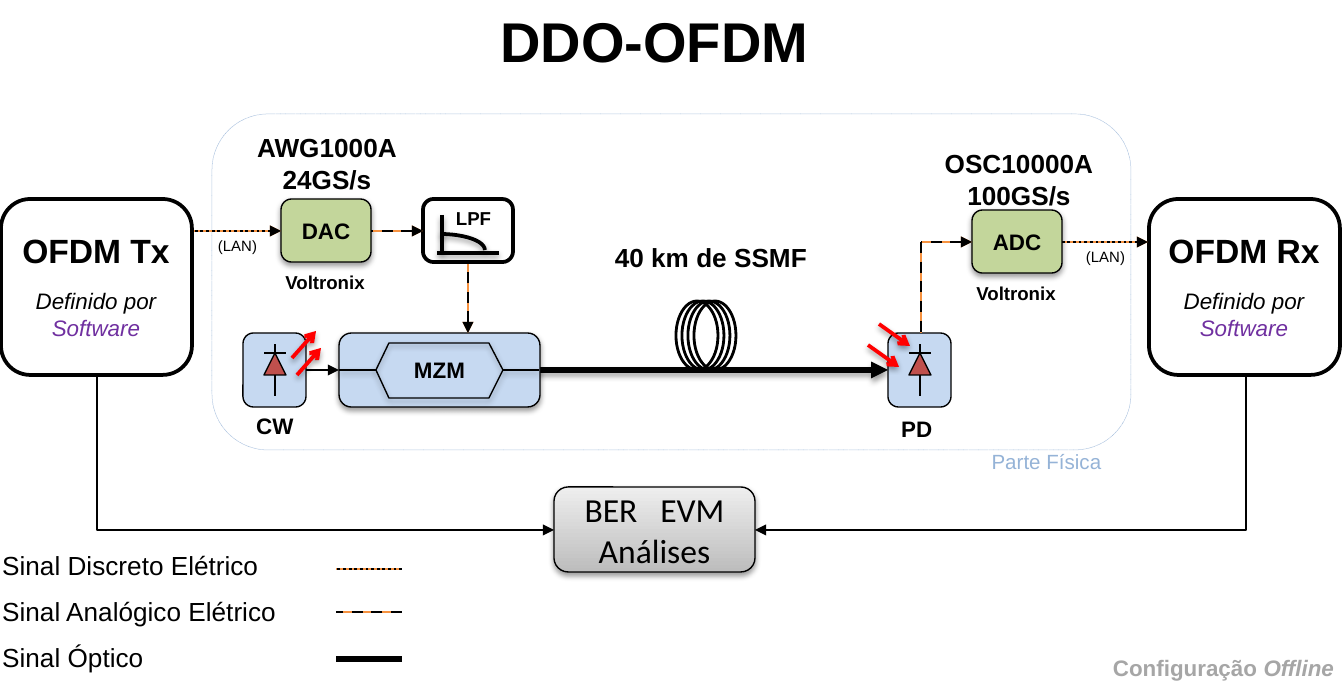
from lxml import etree
from pptx import Presentation
from pptx.dml.color import RGBColor
from pptx.enum.dml import MSO_LINE
from pptx.enum.shapes import MSO_CONNECTOR, MSO_SHAPE
from pptx.enum.text import MSO_ANCHOR, MSO_AUTO_SIZE, PP_ALIGN
from pptx.oxml.ns import qn
from pptx.util import Emu, Pt

BLACK = RGBColor(0x00, 0x00, 0x00)
WHITE = RGBColor(0xFF, 0xFF, 0xFF)
ORANGE = RGBColor(0xF6, 0x92, 0x40)
RED = RGBColor(0xFF, 0x00, 0x00)
BRICK = RGBColor(0xC0, 0x50, 0x4D)
GREEN = RGBColor(0xC3, 0xD6, 0x9B)
PALE_BLUE = RGBColor(0xC6, 0xD9, 0xF1)
BLUE = RGBColor(0x95, 0xB3, 0xD7)
PURPLE = RGBColor(0x70, 0x30, 0xA0)
GRAY = RGBColor(0xA6, 0xA6, 0xA6)
DARK_SILVER = RGBColor(0xBD, 0xBD, 0xBD)
LIGHT_SILVER = RGBColor(0xEE, 0xEE, 0xEE)

ROUND_RECT, ELLIPSE = MSO_SHAPE.ROUNDED_RECTANGLE, MSO_SHAPE.OVAL
TRIANGLE, ARC = MSO_SHAPE.ISOSCELES_TRIANGLE, MSO_SHAPE.ARC
STRAIGHT, ELBOW = MSO_CONNECTOR.STRAIGHT, MSO_CONNECTOR.ELBOW
DOT, DASH = MSO_LINE.ROUND_DOT, MSO_LINE.DASH
LEFT, CENTER = PP_ALIGN.LEFT, PP_ALIGN.CENTER
TOP, MIDDLE = MSO_ANCHOR.TOP, MSO_ANCHOR.MIDDLE
NO_FIT = MSO_AUTO_SIZE.NONE
SCALE = 914400 / 134.4


def px(n):
    """Turn pixels into EMU."""
    return Emu(round(n * SCALE))


def set_effects(sp, shadow):
    """Give a soft shadow below, or no effect at all."""
    effects = etree.SubElement(sp._element.spPr, qn("a:effectLst"))
    if shadow:
        outer = etree.SubElement(effects, qn("a:outerShdw"), blurRad="40000", dist="20000",
                                 dir="5400000", rotWithShape="0")
        color = etree.SubElement(outer, qn("a:srgbClr"), val="000000")
        etree.SubElement(color, qn("a:alpha"), val="38000")


def set_outline(sp, color, width, dash=None):
    """Format the line of a shape or connector."""
    sp.line.color.rgb = color
    sp.line.width = Pt(width)
    if dash:
        sp.line.dash_style = dash


def add_run(p, text, size, bold=False, italic=False, color=BLACK, font="Arial", spacing=0):
    """Add one formatted run."""
    r = p.add_run()
    r.text = text
    r.font.name, r.font.size = font, Pt(size)
    r.font.bold, r.font.italic = bold, italic
    r.font.color.rgb = color
    if spacing:
        r._r.get_or_add_rPr().set("spc", str(spacing))


def write(sp, lines, size, align=CENTER, anchor=TOP, wrap=False, **style):
    """Write plain lines in one style."""
    tf = sp.text_frame
    tf.word_wrap, tf.vertical_anchor, tf.auto_size = wrap, anchor, NO_FIT
    for i, text in enumerate(lines):
        p = tf.add_paragraph() if i else tf.paragraphs[0]
        p.alignment = align
        if text:
            add_run(p, text, size, **style)
    return tf


def add_text(s, box, lines, size, **style):
    """Add a text box."""
    return write(s.shapes.add_textbox(*map(px, box)), lines, size, **style)


def add_shape(s, kind, box, fill=None, color=BLACK, width=0.75, dash=None, shadow=False):
    """Add a preset shape with a flat fill or none."""
    sp = s.shapes.add_shape(kind, *map(px, box))
    if fill is None:
        sp.fill.background()
    else:
        sp.fill.solid()
        sp.fill.fore_color.rgb = fill
    set_outline(sp, color, width, dash)
    set_effects(sp, shadow)
    return sp


def add_line(s, x1, y1, x2, y2, width=0.75, color=BLACK, dash=None, head=None, tail=None,
             shadow=False, kind=STRAIGHT):
    """Add a connector with optional arrowheads."""
    line = s.shapes.add_connector(kind, px(x1), px(y1), px(x2), px(y2))
    set_outline(line, color, width, dash)
    ln = line._element.spPr.find(qn("a:ln"))
    for tag, arrow in (("a:headEnd", head), ("a:tailEnd", tail)):
        if arrow:
            etree.SubElement(ln, qn(tag), type=arrow)
    set_effects(line, shadow)
    return line


def add_signal(s, points, dash, head="triangle"):
    """Add an electrical signal: black dashes over an orange line."""
    add_line(s, *points, width=1.5, color=ORANGE, head=head)
    add_line(s, *points, width=1.5, dash=dash, head=head)


def add_result_path(s, *points):
    """Add a right-angled arrow into the analysis block."""
    line = add_line(s, *points, head="triangle", kind=ELBOW)
    line._element.spPr.find(qn("a:prstGeom")).set("prst", "bentConnector2")


def add_diode(s, x, label, label_box):
    """Add a diode block with its label."""
    add_shape(s, ROUND_RECT, (x, 333, 63, 74), PALE_BLUE)
    add_line(s, x + 32, 344, x + 32, 396, 1)
    add_shape(s, TRIANGLE, (x + 21, 353, 22, 22), BRICK)
    add_line(s, x + 43, 353, x + 21, 353, 1)
    add_text(s, label_box, [label], 12, align=LEFT, bold=True)


def add_light(s, x, y, dx, dy, step_x, step_y):
    """Add two parallel red arrows."""
    for i in range(2):
        x1, y1 = x + i * step_x, y + i * step_y
        add_line(s, x1, y1, x1 + dx, y1 + dy, 2, RED, tail="arrow", shadow=True)


def add_modulator(s):
    """Add the modulator block with its two-arm outline."""
    block = add_shape(s, ROUND_RECT, (339, 333, 201, 74), PALE_BLUE, shadow=True)
    write(block, ["MZM"], 12, anchor=MIDDLE, bold=True)
    builder = s.shapes.build_freeform(376, 370, scale=SCALE)
    builder.add_line_segments([(389, 343), (489, 343), (503, 370), (489, 398), (389, 398)])
    arms = builder.convert_to_shape()
    arms.fill.background()
    set_outline(arms, BLACK, 0.75)
    set_effects(arms, True)
    for x1, x2 in ((339, 376), (503, 539)):
        add_line(s, x1, 370, x2, 370, shadow=True)


def add_converter(s, x, y, name, model_box, model):
    """Add a converter block, its model above and its maker below."""
    block = add_shape(s, ROUND_RECT, (x, y, 90, 63), GREEN, shadow=True)
    write(block, [name], 12, anchor=MIDDLE, bold=True)
    add_text(s, model_box, model, 14, bold=True)
    add_text(s, (x - 12, y + 65, 112, 36), ["Voltronix"], 10, bold=True)


def add_terminal(s, x, name):
    """Add a software-defined terminal."""
    add_shape(s, ROUND_RECT, (x, 199, 191, 176), WHITE, width=2)
    tf = add_text(s, (x - 1, 223, 192, 126), [name], 18, wrap=True, bold=True)
    p = tf.add_paragraph()
    p.alignment, p.space_before = CENTER, Pt(9)
    add_run(p, "Definido por ", 12, italic=True)
    add_run(p, "Software", 12, italic=True, color=PURPLE)


def add_filter(s):
    """Add the low-pass filter block."""
    add_shape(s, ROUND_RECT, (423, 199, 90, 63), WHITE, width=2)
    add_line(s, 442, 215, 442, 253, 2, shadow=True)
    add_line(s, 437, 253, 499, 253, 2, shadow=True)
    add_shape(s, ARC, (396, 234, 89, 32), width=2, shadow=True)
    add_text(s, (442, 200, 63, 36), ["LPF"], 10, bold=True)


def add_analysis(s):
    """Add the gradient analysis block."""
    sp = add_shape(s, ROUND_RECT, (554, 487, 201, 85), WHITE, shadow=True)
    sp.fill.gradient()
    sp.fill.gradient_angle = 90
    for stop, color in zip(sp.fill.gradient_stops, (DARK_SILVER, LIGHT_SILVER)):
        stop.color.rgb = color
    tf = write(sp, ["", "Análises"], 18, anchor=MIDDLE, font="Calibri")
    for text, spacing in (("BER", 0), (" ", 810), ("EVM", 0)):
        add_run(tf.paragraphs[0], text, 18, font="Calibri", spacing=spacing)


def main():
    """Build the slide."""
    prs = Presentation()
    prs.slide_width, prs.slide_height = px(1344), px(688)
    s = prs.slides.add_slide(prs.slide_layouts[5])
    title = s.shapes.title
    title.left, title.top, title.width, title.height = map(px, (485, 0, 339, 82))
    write(title, ["DDO-OFDM"], 30, bold=True)

    add_shape(s, ROUND_RECT, (212, 114, 919, 336), color=BLUE, width=0.25, dash=DOT)
    add_line(s, 339, 370, 888, 370, 3, tail="triangle", shadow=True)
    add_modulator(s)
    add_diode(s, 243, "CW", (243, 406, 65, 40))
    add_diode(s, 888, "PD", (888, 409, 59, 40))
    add_light(s, 868, 345, 31, 22, 11, -21)
    add_light(s, 292, 358, 24, -27, 5, 17)
    add_line(s, 306, 370, 339, 370, 1.5, tail="triangle")
    for i in range(4):
        add_shape(s, ELLIPSE, (676 + 6 * i, 301, 42, 69), width=1.5)
    add_text(s, (601, 235, 220, 46), ["40 km de SSMF"], 14, bold=True)

    add_converter(s, 281, 199, "DAC", (243, 125, 168, 77), ["AWG1000A", "24GS/s"])
    add_converter(s, 972, 210, "ADC", (931, 141, 176, 77), ["OSC10000A", "100GS/s"])
    add_terminal(s, 1, "OFDM Tx")
    add_terminal(s, 1149, "OFDM Rx")
    add_filter(s)
    add_analysis(s)

    for points in ((281, 231, 194, 231), (1148, 242, 1062, 242)):
        add_signal(s, points, DOT)
    for points in ((423, 231, 371, 231), (468, 333, 468, 263), (972, 242, 921, 242)):
        add_signal(s, points, DASH)
    add_signal(s, (921, 242, 921, 333), DASH, head=None)
    for x, y in ((202, 230), (1070, 241)):
        add_text(s, (x, y, 71, 32), ["(LAN)"], 8, wrap=True)
    add_result_path(s, 554, 530, 97, 375)
    add_result_path(s, 755, 530, 1246, 375)

    legend = (("Sinal Discreto Elétrico", 285), ("Sinal Analógico Elétrico", 302),
              ("Sinal Óptico", 169))
    for i, (label, width) in enumerate(legend):
        add_text(s, (-11, 543 + 46 * i, width, 46), [label], 14, align=LEFT)
    add_signal(s, (402, 569, 336, 569), DOT, head=None)
    add_signal(s, (402, 612, 336, 612), DASH, head=None)
    add_line(s, 336, 659, 402, 659, 3)
    add_text(s, (978, 442, 137, 39), ["Parte Física"], 11, color=BLUE)
    tf = add_text(s, (1098, 648, 251, 40), ["Configuração "], 12, bold=True, color=GRAY)
    add_run(tf.paragraphs[0], "Offline", 12, bold=True, italic=True, color=GRAY)
    prs.save("out.pptx")


if __name__ == "__main__":
    main()
